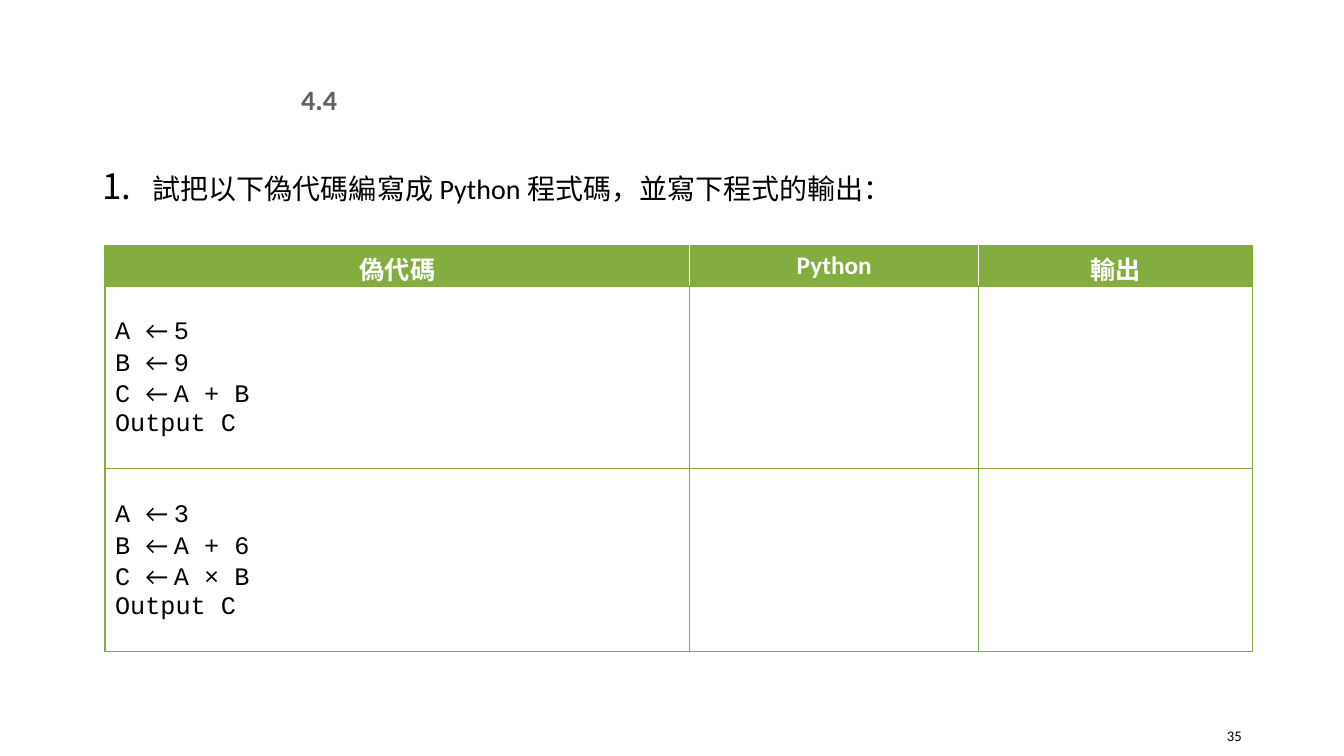
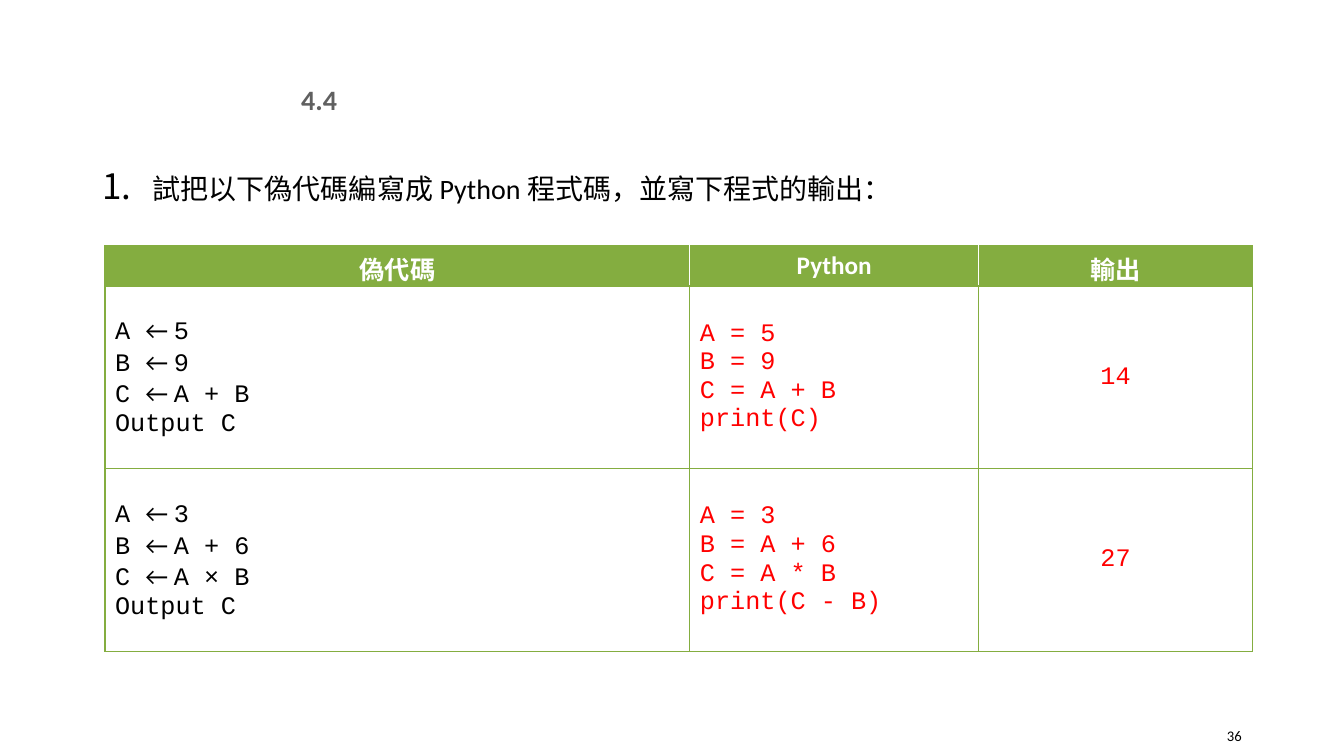
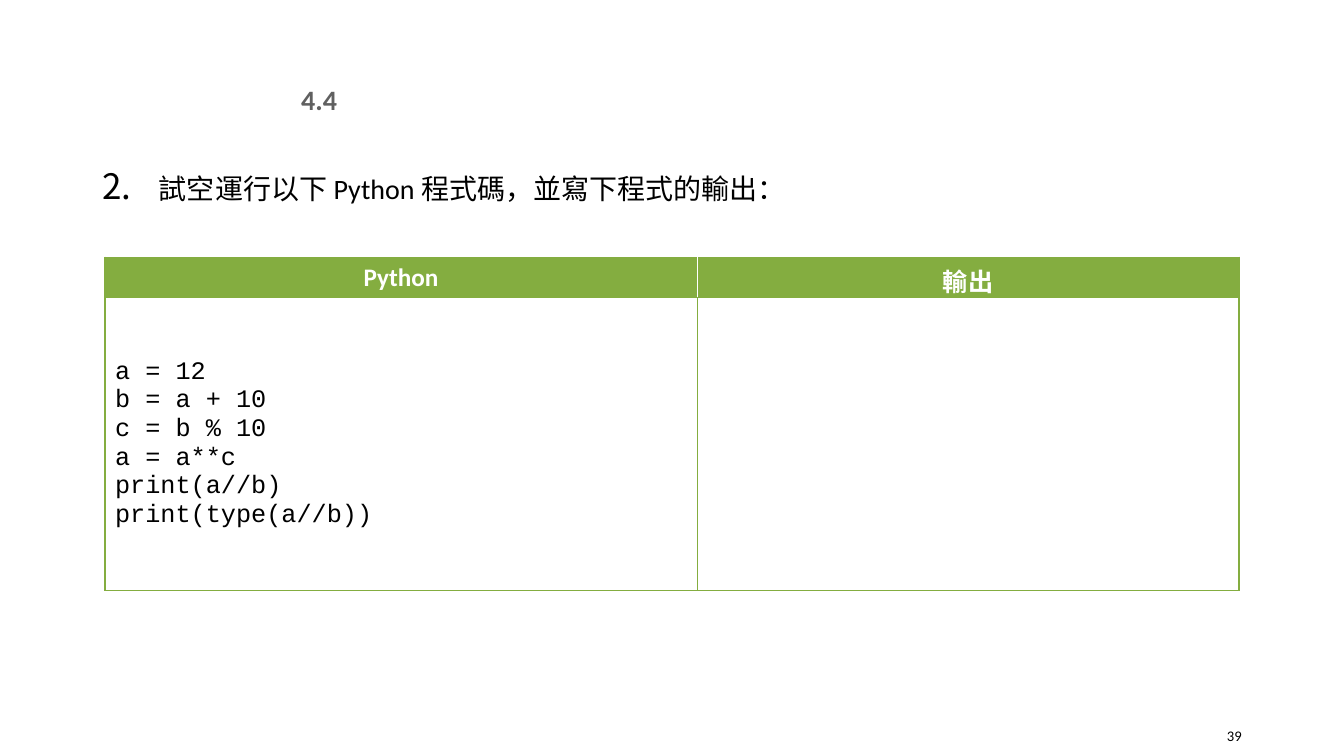
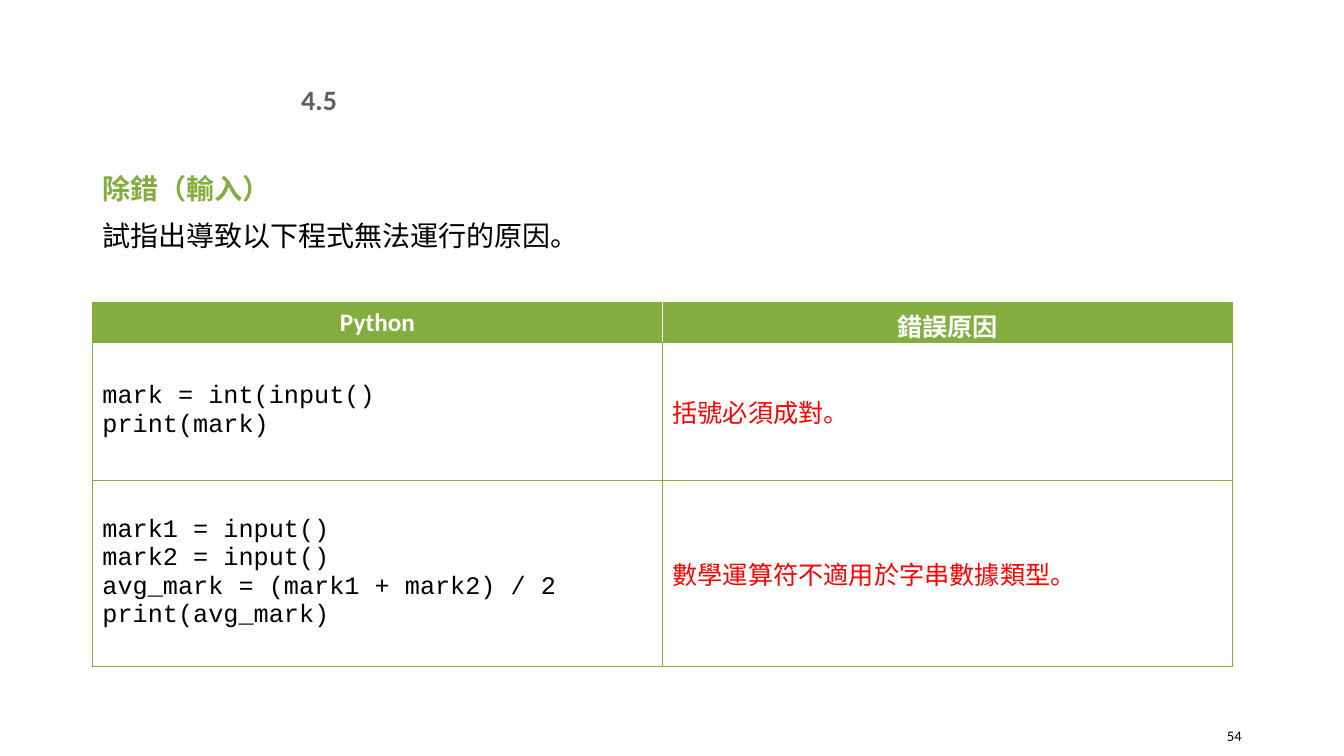
import lxml.etree
import pptx
import pptx.dml.color
import pptx.enum.text
import pptx.oxml.ns
import pptx.util

PX = 9525
SLIDE_SIZE = (1280, 720)
GREEN, GREY, RED, BLACK, WHITE = "84AD40", "606060", "FF0000", "000000", "FFFFFF"
LATIN, CHINESE, MONO = "Calibri", "Noto Sans CJK TC", "Courier New"

ALIGN = pptx.enum.text.PP_ALIGN
ANCHOR = pptx.enum.text.MSO_ANCHOR

SECTION = {"name": LATIN, "size": 20, "bold": True, "color": GREY}
QUESTION = {"name": LATIN, "size": 20, "bold": False, "color": BLACK}
INSTRUCTION = {**QUESTION, "name": CHINESE}
HEADING = {**INSTRUCTION, "bold": True, "color": GREEN}
PAGE = {"name": LATIN, "size": 10.5, "bold": False, "color": BLACK}
HEADER = {"name": LATIN, "size": 18, "bold": True, "color": WHITE}
HEADER_CHINESE = {**HEADER, "name": CHINESE}
CODE = {"name": MONO, "size": 18, "bold": False, "color": BLACK}
ANSWER = {**CODE, "color": RED}
REASON = {**ANSWER, "name": CHINESE}

SECTION_BOX = (259, 80, 90, 30)
BODY_BOX = (88, 152, 1104, 510)
PAGE_BOX = (1111, 682, 81, 38)


def px(value):
    return pptx.util.Emu(value * PX)


def rgb(value):
    return pptx.dml.color.RGBColor.from_string(value)


def add_element(parent, tag, **attributes):
    element = lxml.etree.SubElement(parent, pptx.oxml.ns.qn(tag))
    for name, value in attributes.items():
        element.set(name, str(value))
    return element


def add_run(paragraph, text, style):
    run = paragraph.add_run()
    run.text = text
    for name, value in style.items():
        if name == "color":
            run.font.color.rgb = rgb(value)
        else:
            setattr(run.font, name, pptx.util.Pt(value) if name == "size" else value)
    add_element(run.font._element, "a:ea", typeface=CHINESE)


def write_lines(frame, lines, style, align=ALIGN.LEFT):
    """Write one paragraph per line; assignment arrows take the text font."""
    for index, line in enumerate(lines):
        paragraph = frame.add_paragraph() if index else frame.paragraphs[0]
        paragraph.alignment = align
        for part in line.partition("← "):
            if part:
                add_run(paragraph, part, {**style, "name": LATIN} if part == "← " else style)


def add_text_box(slide, box, anchor=ANCHOR.TOP):
    frame = slide.shapes.add_textbox(*map(px, box)).text_frame
    frame.word_wrap = True
    frame.vertical_anchor = anchor
    return frame


def place_section(slide, box, text):
    title = slide.shapes.title
    for name, value in zip(("left", "top", "width", "height"), box):
        setattr(title, name, px(value))
    frame = title.text_frame
    frame.auto_size = pptx.enum.text.MSO_AUTO_SIZE.NONE
    frame.vertical_anchor = ANCHOR.MIDDLE
    write_lines(frame, [text], SECTION, ALIGN.CENTER)


def add_exercise_slide(presentation, section, page):
    slide = presentation.slides.add_slide(presentation.slide_layouts[5])
    place_section(slide, SECTION_BOX, section)
    write_lines(add_text_box(slide, PAGE_BOX, ANCHOR.MIDDLE), [page], PAGE, ALIGN.RIGHT)
    return slide


def add_question(slide, box, number, text, indent):
    paragraph = add_text_box(slide, box).paragraphs[0]
    paragraph.line_spacing = 1.2
    properties = paragraph._p.get_or_add_pPr()
    properties.set("marL", str(px(indent)))
    properties.set("indent", str(px(-indent)))
    add_element(properties, "a:buSzPct", val=125000)
    add_element(properties, "a:buFont", typeface=CHINESE)
    add_element(properties, "a:buAutoNum", type="arabicPeriod", startAt=number)
    add_run(paragraph, text, QUESTION)


def add_instruction(slide, box, heading, text):
    frame = add_text_box(slide, box)
    write_lines(frame, [heading], HEADING)
    paragraph = frame.add_paragraph()
    paragraph.space_before = pptx.util.Pt(5)
    add_run(paragraph, text, INSTRUCTION)
    for paragraph in frame.paragraphs:
        paragraph.line_spacing = 1.2


def set_borders(cell, colors):
    properties = cell._tc.get_or_add_tcPr()
    for side in "LRTB":
        line = add_element(properties, "a:ln" + side, w=pptx.util.Pt(1))
        fill = add_element(line, "a:solidFill")
        add_element(fill, "a:srgbClr", val=colors.get(side, GREEN))


def add_exercise_table(slide, origin, widths, heights, rows, header_anchor=ANCHOR.TOP):
    """Each cell in rows is None or the arguments of write_lines."""
    box = (*origin, sum(widths), sum(heights))
    table = slide.shapes.add_table(len(rows), len(widths), *map(px, box)).table
    table.horz_banding = False
    for column, width in zip(table.columns, widths):
        column.width = px(width)
    for row, height in zip(table.rows, heights):
        row.height = px(height)
    last = len(widths) - 1
    for row_index, row in enumerate(rows):
        for column_index, content in enumerate(row):
            cell = table.cell(row_index, column_index)
            is_header = row_index == 0
            colors = {}
            if is_header and column_index > 0:
                colors["L"] = WHITE
            if is_header and column_index < last:
                colors["R"] = WHITE
            set_borders(cell, colors)
            if is_header:
                cell.fill.solid()
                cell.fill.fore_color.rgb = rgb(GREEN)
            else:
                cell.fill.background()
            cell.vertical_anchor = header_anchor if is_header else ANCHOR.MIDDLE
            if content:
                write_lines(cell.text_frame, *content)


def header(text, style=HEADER):
    return [text], style, ALIGN.CENTER


def add_pseudocode_slide(presentation, page, show_answers):
    slide = add_exercise_slide(presentation, "4.4", page)
    add_question(slide, BODY_BOX, 1, "試把以下偽代碼編寫成 Python 程式碼，並寫下程式的輸出：", 48)
    exercises = [
        (["A ← 5", "B ← 9", "C ← A + B", "Output C"],
         ["A = 5", "B = 9", "C = A + B", "print(C)"], "14"),
        (["A ← 3", "B ← A + 6", "C ← A × B", "Output C"],
         ["A = 3", "B = A + 6", "C = A * B", "print(C - B)"], "27"),
    ]
    rows = [[header("偽代碼"), header("Python"), header("輸出")]]
    for pseudocode, program, output in exercises:
        answers = [(program, ANSWER), ([output], ANSWER, ALIGN.CENTER)]
        rows.append([(pseudocode, CODE)] + (answers if show_answers else [None, None]))
    add_exercise_table(slide, (100, 234), (557, 275, 261), (36, 174, 174), rows)


def add_dry_run_slide(presentation):
    slide = add_exercise_slide(presentation, "4.4", "39")
    add_question(slide, BODY_BOX, 2, "試空運行以下 Python 程式碼，並寫下程式的輸出：", 54)
    program = ["a = 12", "b = a + 10", "c = b % 10", "a = a**c",
               "print(a//b)", "print(type(a//b))"]
    rows = [[header("Python"), header("輸出", HEADER_CHINESE)], [(program, CODE), None]]
    add_exercise_table(slide, (100, 245), (564, 516), (36, 279), rows)


def add_debugging_slide(presentation):
    slide = add_exercise_slide(presentation, "4.5", "54")
    add_instruction(slide, BODY_BOX, "除錯（輸入）", "試指出導致以下程式無法運行的原因。")
    rows = [
        [header("Python"), header("錯誤原因", HEADER_CHINESE)],
        [(["mark = int(input()", "print(mark)"], CODE), (["括號必須成對。"], REASON)],
        [(["mark1 = input()", "mark2 = input()", "avg_mark = (mark1 + mark2) / 2",
           "print(avg_mark)"], CODE),
         (["數學運算符不適用於字串數據類型。"], REASON)],
    ]
    add_exercise_table(slide, (88, 288), (543, 543), (38, 131, 177), rows, ANCHOR.MIDDLE)


def main():
    presentation = pptx.Presentation()
    presentation.slide_width, presentation.slide_height = map(px, SLIDE_SIZE)
    add_pseudocode_slide(presentation, "35", show_answers=False)
    add_pseudocode_slide(presentation, "36", show_answers=True)
    add_dry_run_slide(presentation)
    add_debugging_slide(presentation)
    presentation.save("out.pptx")


if __name__ == "__main__":
    main()
